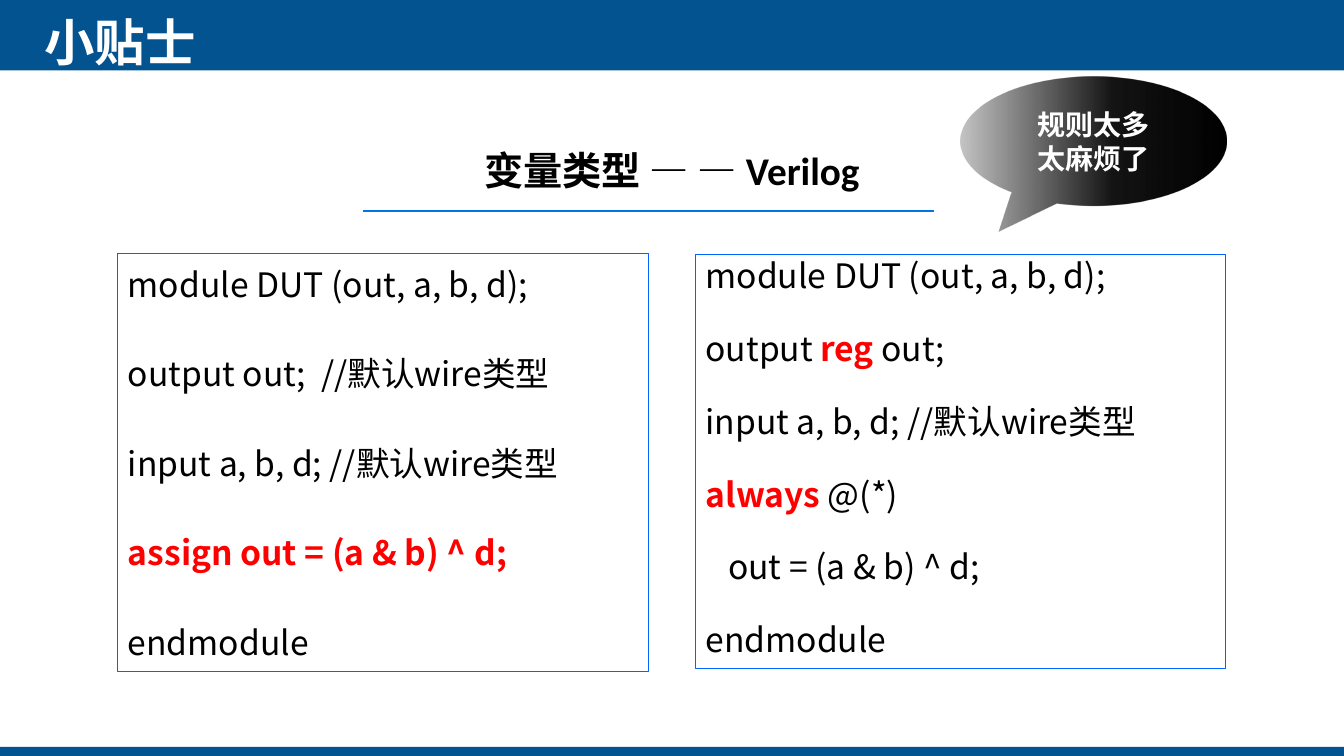
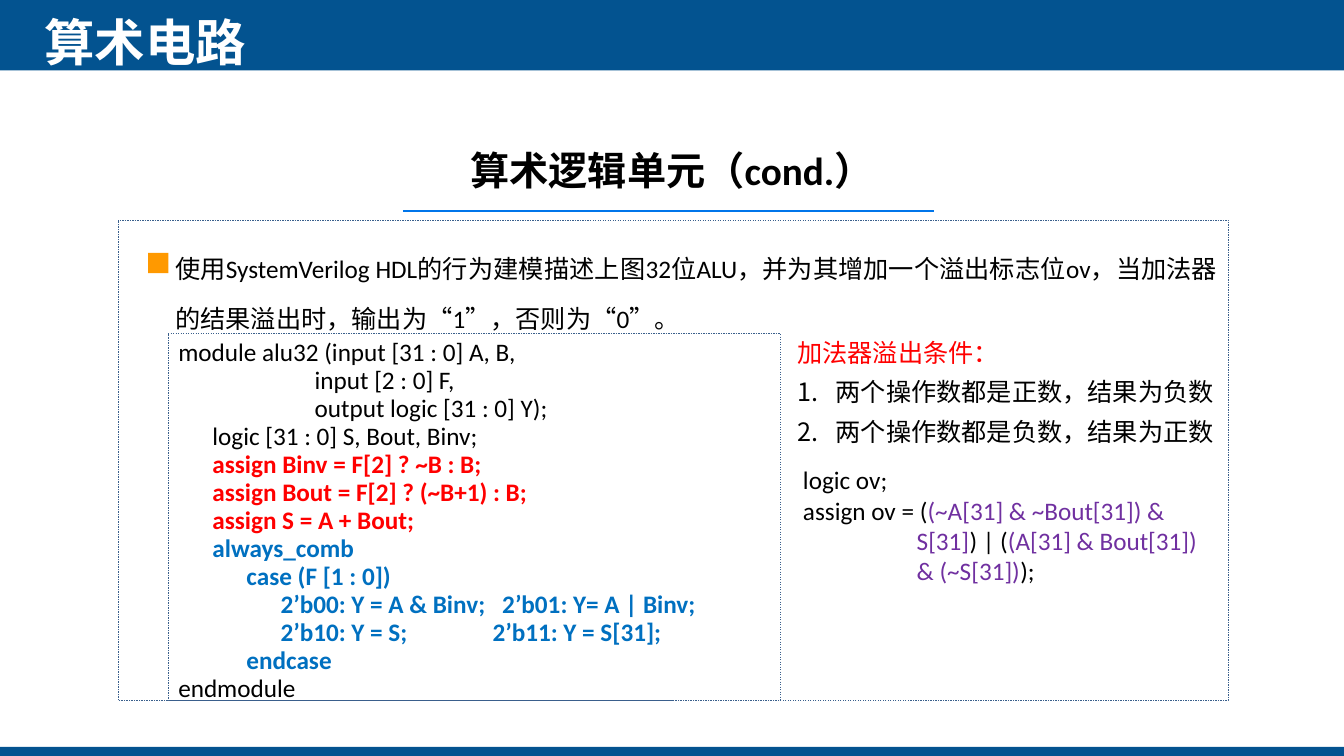
from lxml import etree
from pptx import Presentation, util as u
from pptx.dml.color import RGBColor
from pptx.enum import dml, shapes, text
from pptx.oxml.ns import qn

PX = 9144  # 100 px to the inch
WIDTH, HEIGHT = 1333, 750
SANS, HAN = "Calibri", "Noto Sans CJK SC"
NAVY, LINE_BLUE, BOX_BLUE, DASH_BLUE = "035390", "0075EA", "0066FF", "3A5F8C"
BLACK, WHITE, RED, BLUE, PURPLE, ORANGE = (
    "000000", "FFFFFF", "FF0000", "0070C0", "7030A0", "FF9900")
LEFT, CENTER, JUSTIFY = text.PP_ALIGN.LEFT, text.PP_ALIGN.CENTER, text.PP_ALIGN.JUSTIFY
RECT = shapes.MSO_SHAPE.RECTANGLE

# A line is a list of spans: plain text, or (text, colour, bold).
WIRE_CODE = [
    ["module DUT (out, a, b, d);"],
    ["output out;  //默认wire类型"],
    ["input a, b, d; //默认wire类型"],
    [("assign out = (a & b) ^ d;", RED, True)],
    ["endmodule"],
]
REG_CODE = [
    ["module DUT (out, a, b, d);"],
    ["output ", ("reg", RED, True), " out;"],
    ["input a, b, d; //默认wire类型"],
    [("always", RED, True), " @(*)"],
    ["   out = (a & b) ^ d;"],
    ["endmodule"],
]
CODE_PANELS = [  # left, height, line pitch in points, code
    (117, 414, 32, WIRE_CODE),
    (690, 411, 26, REG_CODE),
]
COMPLAINT = [["规则太多"], ["太麻烦了"]]
GRADIENT = [(0, 23), (57, 92), (100, 100)]  # position, opacity in percent

TASK = [["使用SystemVerilog HDL的行为建模描述上图32位ALU，并为其增加一个溢出标志位ov，"
         "当加法器的结果溢出时，输出为“1”，否则为“0”。"]]
ALU_CODE = [
    ["module alu32 (input [31 : 0] A, B,"],
    ["                        input [2 : 0] F,"],
    ["                        output logic [31 : 0] Y);"],
    ["      logic [31 : 0] S, Bout, Binv;"],
    ["      ", ("assign Binv = F[2] ? ~B : B;", RED, True)],
    ["      ", ("assign Bout = F[2] ? (~B+1) : B;", RED, True)],
    [("      assign S = A + Bout;", RED, True)],
    ["      ", ("always_comb", BLUE, True)],
    [("            case (F [1 : 0])", BLUE, True)],
    [("                  2’b00: Y = A & Binv;   2’b01: Y= A | Binv;", BLUE, True)],
    [("                  2’b10: Y = S;               2’b11: Y = S[31];", BLUE, True)],
    [("            endcase", BLUE, True)],
    ["endmodule"],
]
CONDITIONS = [
    [("加法器溢出条件：", RED, False)],
    ["两个操作数都是正数，结果为负数"],
    ["两个操作数都是负数，结果为正数"],
]
OVERFLOW_CODE = [
    [" logic ov;"],
    [" assign ov = (", ("(~A[31] & ~Bout[31]) &", PURPLE, False)],
    [("                     S[31]", PURPLE, False), ") | (",
     ("(A[31] & Bout[31])", PURPLE, False)],
    [("                     & (~S[31])", PURPLE, False), ");"],
]


def rgb(value):
    return RGBColor.from_string(value)


def px(*lengths):
    return [u.Emu(length * PX) for length in lengths]


def set_font(font, color, bold):
    font.color.rgb = rgb(color)
    font.bold = bold


def write(box, lines, size, font=SANS, color=BLACK, bold=False, align=LEFT,
          pitch=None, gap=0, anchor=text.MSO_ANCHOR.TOP, numbered_from=None):
    """Fill a shape with lines; pitch and gap are in points."""
    frame = box.text_frame
    frame.word_wrap = True
    frame.auto_size = text.MSO_AUTO_SIZE.NONE
    frame.vertical_anchor = anchor
    for index, spans in enumerate(lines):
        para = frame.add_paragraph() if index else frame.paragraphs[0]
        para.alignment = align
        if pitch:
            para.line_spacing = u.Pt(pitch) if pitch > 1 else pitch
        if index and gap:
            para.space_before = u.Pt(gap)
        props = para._p.get_or_add_pPr()
        if numbered_from is not None and index >= numbered_from:
            indent = 38 * PX
            props.set("marL", str(indent))
            props.set("indent", str(-indent))
            etree.SubElement(props, qn("a:buAutoNum"), type="arabicPeriod")
        spans = [span if isinstance(span, tuple) else (span, color, bold) for span in spans]
        para.font.size = u.Pt(size)
        para.font.name = font
        set_font(para.font, *spans[0][1:])
        etree.SubElement(props.find(qn("a:defRPr")), qn("a:ea"), typeface=HAN)
        for words, *look in spans:
            run = para.add_run()
            run.text = words
            if look != list(spans[0][1:]):
                set_font(run.font, *look)


def add_box(slide, area, fill=None, line=None, weight=0.75, dashed=False, kind=RECT):
    box = slide.shapes.add_shape(kind, *px(*area))
    box.shadow.inherit = False
    if fill:
        box.fill.solid()
        box.fill.fore_color.rgb = rgb(fill)
    else:
        box.fill.background()
    if line:
        box.line.color.rgb = rgb(line)
        box.line.width = u.Pt(weight)
        if dashed:
            box.line.dash_style = dml.MSO_LINE.DASH
    else:
        box.line.fill.background()
    return box


def add_text(slide, area, lines, size, **style):
    write(slide.shapes.add_textbox(*px(*area)), lines, size, **style)


def prepare_layout(deck):
    """Give the title-only layout its bands and title position."""
    layout = deck.slide_layouts[5]
    title = layout.placeholders[0]
    title.left, title.top, title.width, title.height = px(34, -28, 1150, 145)
    return layout


def add_bands(slide, layout):
    """Draw the bands and hand them over to the layout, behind its placeholders."""
    for area in [(0, 0, WIDTH, 70), (0, 741, WIDTH, 9)]:
        layout.shapes.element.insert(2, add_box(slide, area, NAVY).element)


def add_slide(deck, layout, title, heading, rule_left):
    slide = deck.slides.add_slide(layout)
    write(slide.shapes.title, [[title]], 36, font=HAN, color=WHITE, bold=True,
          pitch=0.9, anchor=text.MSO_ANCHOR.MIDDLE)
    add_text(slide, (355, 140, 623, 57), [[heading]], 28, bold=True, align=CENTER)
    rule = slide.shapes.add_connector(
        shapes.MSO_CONNECTOR.STRAIGHT, *px(rule_left, 209, 926, 209))
    rule.line.color.rgb = rgb(LINE_BLUE)
    rule.line.width = u.Pt(1.5)
    etree.SubElement(rule.element.spPr, qn("a:effectLst"))
    return slide


def add_callout(slide):
    callout = add_box(slide, (953, 76, 263, 128), kind=shapes.MSO_SHAPE.OVAL_CALLOUT)
    callout.adjustments[0], callout.adjustments[1] = -0.357, 0.701
    callout.fill.gradient()
    callout.fill.gradient_angle = 0
    stops = callout.element.spPr.find(".//" + qn("a:gsLst"))
    for stop in list(stops):
        stops.remove(stop)
    for position, opacity in GRADIENT:
        stop = etree.SubElement(stops, qn("a:gs"), pos=str(position * 1000))
        shade = etree.SubElement(stop, qn("a:srgbClr"), val=BLACK)
        etree.SubElement(shade, qn("a:alpha"), val=str(opacity * 1000))
    write(callout, COMPLAINT, 20, color=WHITE, bold=True, align=CENTER,
          anchor=text.MSO_ANCHOR.MIDDLE)


def build_types_slide(slide):
    for left, height, pitch, code in CODE_PANELS:
        panel = add_box(slide, (left, 252, 526, height), line=BOX_BLUE)
        write(panel, code, 24, font=HAN, pitch=pitch, gap=pitch)
    add_callout(slide)


def build_alu_slide(slide):
    add_box(slide, (117, 218, 1101, 477), line=DASH_BLUE, weight=0.25, dashed=True)
    add_text(slide, (164, 226, 1053, 105), TASK, 18, align=JUSTIFY, pitch=36)
    add_box(slide, (147, 251, 20, 20), ORANGE)
    panel = add_box(slide, (167, 331, 607, 364), line=DASH_BLUE, weight=0.25, dashed=True)
    write(panel, ALU_CODE, 18, pitch=20)
    add_text(slide, (781, 321, 437, 128), CONDITIONS, 18, pitch=28, numbered_from=1)
    add_text(slide, (781, 456, 437, 131), OVERFLOW_CODE, 18)


def main():
    deck = Presentation()
    deck.slide_width, deck.slide_height = px(WIDTH, HEIGHT)
    layout = prepare_layout(deck)
    types_slide = add_slide(deck, layout, "小贴士", "变量类型 — — Verilog", 360)
    add_bands(types_slide, layout)
    build_types_slide(types_slide)
    build_alu_slide(add_slide(deck, layout, "算术电路", "算术逻辑单元（cond.）", 400))
    deck.save("out.pptx")


if __name__ == "__main__":
    main()
